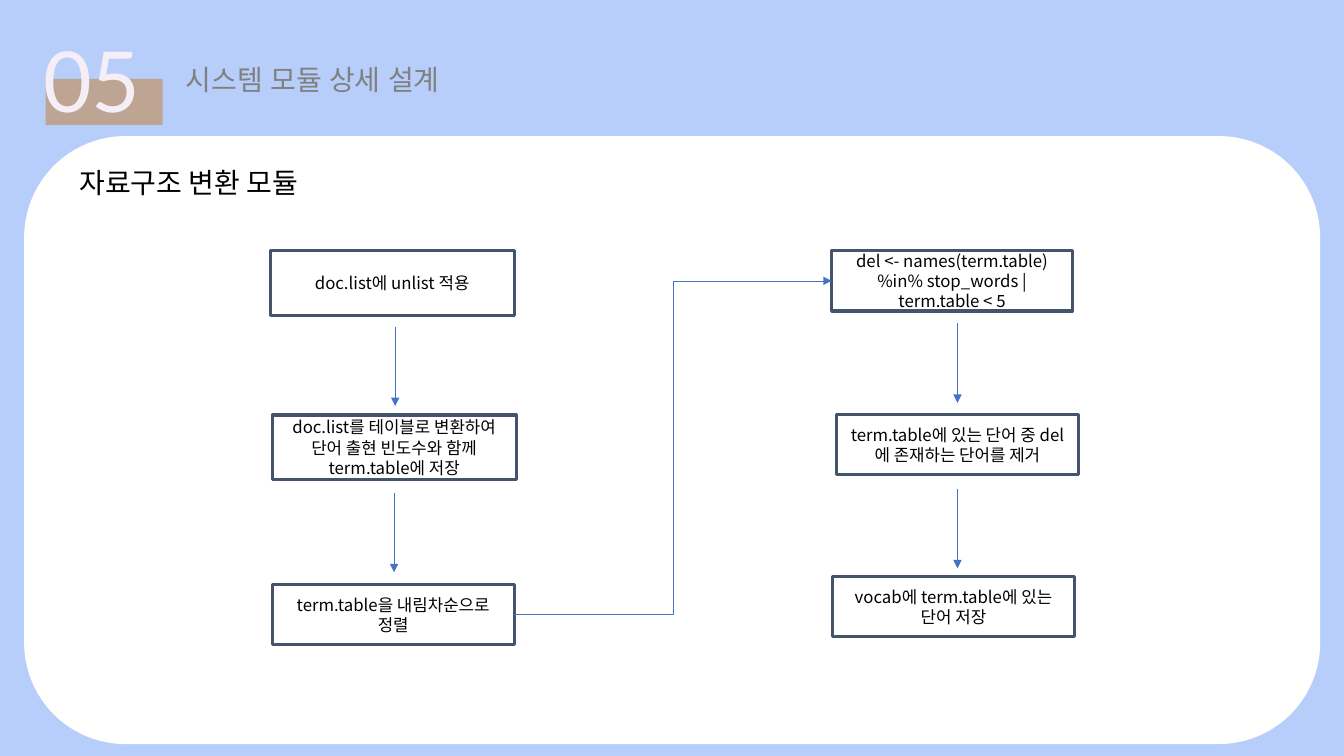
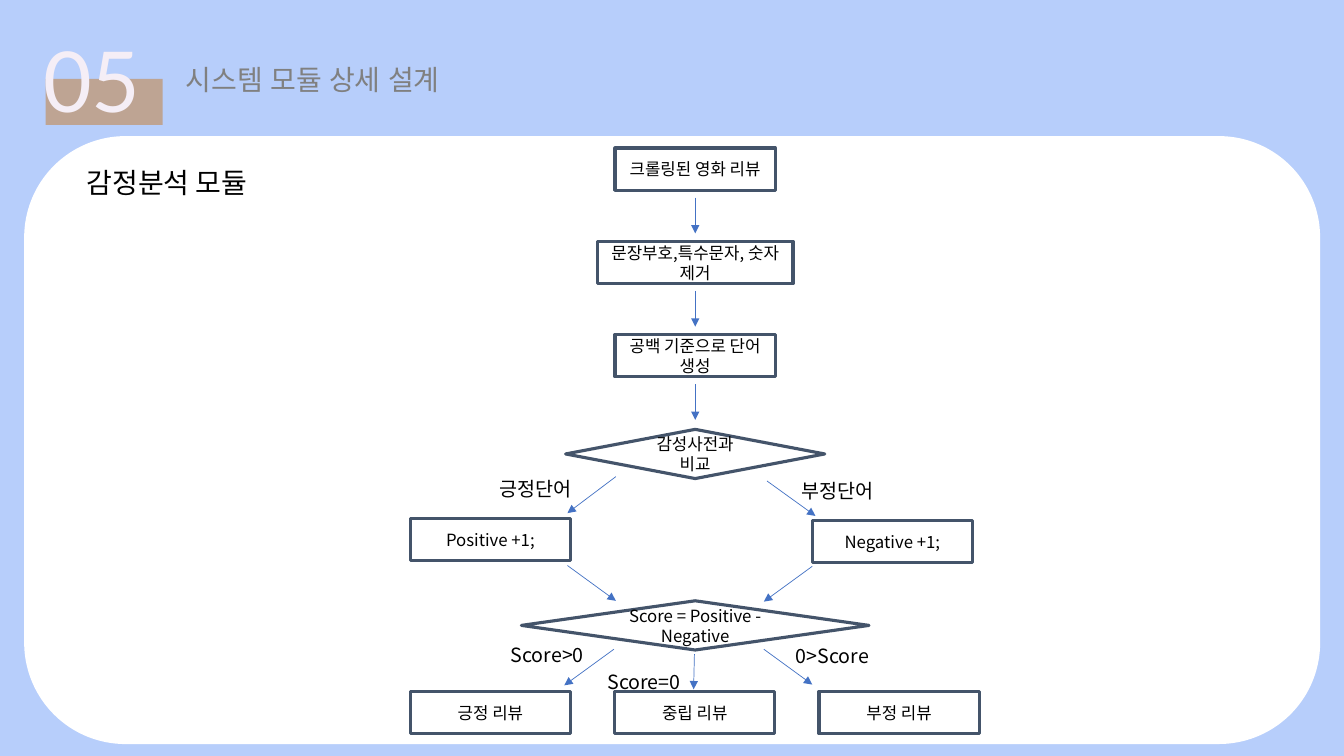
import pptx
import pptx.dml.color
import pptx.enum.shapes
import pptx.enum.text
import pptx.oxml.ns
import pptx.util
from lxml import etree

Cm = pptx.util.Cm
Pt = pptx.util.Pt
RGBColor = pptx.dml.color.RGBColor
MSO_SHAPE = pptx.enum.shapes.MSO_SHAPE
MSO_CONNECTOR = pptx.enum.shapes.MSO_CONNECTOR
MSO_ANCHOR = pptx.enum.text.MSO_ANCHOR
MSO_AUTO_SIZE = pptx.enum.text.MSO_AUTO_SIZE
PP_ALIGN = pptx.enum.text.PP_ALIGN
qn = pptx.oxml.ns.qn

SKY = RGBColor(0xB7, 0xCE, 0xFB)
TAN = RGBColor(0xBE, 0xA4, 0x93)
BLUSH = RGBColor(0xF5, 0xEE, 0xF6)
GREY = RGBColor(0x80, 0x80, 0x80)
WHITE = RGBColor(0xFF, 0xFF, 0xFF)
BLACK = RGBColor(0x00, 0x00, 0x00)
SLATE = RGBColor(0x44, 0x54, 0x6A)
BLUE = RGBColor(0x44, 0x72, 0xC4)

HEAD_FONT = "Lato"
BODY_FONT = "Noto Sans CJK KR"

CENTER_X = 17.52
BOX_W, BOX_H = 4.04, 1.07
DIAMOND_H = 1.24
STEP_Y = 2.35
REVIEW_STEP_X = 5.15


def set_text(tf, lines, size, color=BLACK, font=BODY_FONT, align=PP_ALIGN.LEFT):
    for i, line in enumerate(lines):
        p = tf.add_paragraph() if i else tf.paragraphs[0]
        p.text = line
        p.alignment = align
        p.font.size = Pt(size)
        p.font.name = font
        p.font.color.rgb = color
        ea = etree.SubElement(p._p.pPr.find(qn("a:defRPr")), qn("a:ea"))
        ea.set("typeface", font)


def add_block(slide, kind, left, top, width, height, fill):
    sp = slide.shapes.add_shape(kind, Cm(left), Cm(top), Cm(width), Cm(height))
    sp.shadow.inherit = False
    sp.fill.solid()
    sp.fill.fore_color.rgb = fill
    sp.line.fill.background()


def add_label(slide, text, left, top, width, height, size,
              color=BLACK, font=BODY_FONT, wrap=True):
    sp = slide.shapes.add_textbox(Cm(left), Cm(top), Cm(width), Cm(height))
    tf = sp.text_frame
    tf.word_wrap = wrap
    tf.auto_size = MSO_AUTO_SIZE.SHAPE_TO_FIT_TEXT
    set_text(tf, [text], size, color, font)


def add_node(slide, lines, left, top, width, height, kind=MSO_SHAPE.RECTANGLE):
    sp = slide.shapes.add_shape(kind, Cm(left), Cm(top), Cm(width), Cm(height))
    sp.shadow.inherit = False
    sp.fill.background()
    sp.line.color.rgb = SLATE
    sp.line.width = Pt(2.25)
    tf = sp.text_frame
    tf.word_wrap = True
    tf.vertical_anchor = MSO_ANCHOR.MIDDLE
    set_text(tf, lines, 12, align=PP_ALIGN.CENTER)
    return sp


def add_centered_node(slide, lines, center, top, width=BOX_W, height=BOX_H,
                      kind=MSO_SHAPE.RECTANGLE):
    return add_node(slide, lines, center - width / 2, top, width, height, kind)


def add_arrow(slide, x1, y1, x2, y2, kind=MSO_CONNECTOR.STRAIGHT):
    cxn = slide.shapes.add_connector(kind, Cm(x1), Cm(y1), Cm(x2), Cm(y2))
    cxn.line.color.rgb = BLUE
    cxn.line.width = Pt(0.5)
    tail = etree.SubElement(cxn.line._get_or_add_ln(), qn("a:tailEnd"))
    tail.set("type", "triangle")
    etree.SubElement(cxn._element.spPr, qn("a:effectLst"))
    return cxn


def add_module_slide(prs, heading, heading_left):
    slide = prs.slides.add_slide(prs.slide_layouts[5])
    add_block(slide, MSO_SHAPE.RECTANGLE, 1.15, 1.99, 2.95, 1.16, TAN)
    add_label(slide, "05", 0.84, 0.59, 3.25, 2.82, 60, BLUSH, HEAD_FONT)
    title = slide.shapes.title
    title.left, title.top = Cm(4.42), Cm(1.45)
    title.width, title.height = Cm(7.9), Cm(1.11)
    tf = title.text_frame
    tf.word_wrap = True
    tf.auto_size = MSO_AUTO_SIZE.NONE
    tf.vertical_anchor = MSO_ANCHOR.TOP
    set_text(tf, ["시스템 모듈 상세 설계"], 20, GREY, HEAD_FONT)
    add_block(slide, MSO_SHAPE.ROUNDED_RECTANGLE, 0.61, 3.43, 32.66, 15.32, WHITE)
    add_label(slide, heading, heading_left, 4.04, 7.62, 1.11, 20)
    return slide


def build_conversion_slide(prs):
    slide = add_module_slide(prs, "자료구조 변환 모듈", 1.75)
    steps = [
        ("doc.list에 unlist 적용", 6.81, 6.32, 6.15, 1.63),
        ("doc.list를 테이블로 변환하여 단어 출현 빈도수와 함께term.table에 저장",
         6.86, 10.46, 6.15, 1.63),
        ("term.table을 내림차순으로 정렬", 6.86, 14.73, 6.1, 1.52),
        ("del <- names(term.table) %in% stop_words | term.table < 5",
         20.96, 6.32, 6.07, 1.52),
        ("term.table에 있는 단어 중 del에 존재하는 단어를 제거",
         21.08, 10.44, 6.1, 1.52),
        ("vocab에 term.table에 있는 단어 저장", 20.98, 14.53, 6.1, 1.52),
    ]
    nodes = [add_node(slide, [text], *box) for text, *box in steps]
    for x, y in [(9.96, 8.23), (9.93, 12.42), (24.13, 8.15), (24.13, 12.32)]:
        add_arrow(slide, x, y, x, y + 2)
    bend = add_arrow(slide, 12.96, 15.49, 20.96, 7.08, MSO_CONNECTOR.ELBOW)
    bend.begin_connect(nodes[2], 3)
    bend.end_connect(nodes[3], 1)


def build_sentiment_slide(prs):
    slide = add_module_slide(prs, "감정분석 모듈", 1.93)
    steps = [("크롤링된 영화 리뷰", BOX_W), ("문장부호,특수문자, 숫자 제거", 4.93),
             ("공백 기준으로 단어 생성", BOX_W)]
    for i, (text, width) in enumerate(steps):
        top = 3.73 + i * STEP_Y
        add_centered_node(slide, [text], CENTER_X, top, width)
        add_arrow(slide, CENTER_X, top + 1.25, CENTER_X, top + 2.15)

    for lines, top, width in [(["감성사전과", "비교"], 10.82, 6.53),
                              (["Score = Positive - Negative"], 15.14, 8.76)]:
        add_centered_node(slide, lines, CENTER_X, top, width, DIAMOND_H,
                          MSO_SHAPE.DIAMOND)

    add_centered_node(slide, ["Positive +1;"], 12.36, 13.06)
    add_centered_node(slide, ["Negative +1;"], 22.49, 13.11)
    for i, text in enumerate(["긍정 리뷰", "중립 리뷰", "부정 리뷰"]):
        add_centered_node(slide, [text], 12.36 + i * REVIEW_STEP_X, 17.42)

    for ends in [(15.52, 12.01, 14.3, 12.93), (19.33, 12.12, 20.55, 13),
                 (14.3, 14.25, 15.52, 15.14), (20.47, 14.27, 19.25, 15.16),
                 (15.47, 16.36, 14.22, 17.27), (19.25, 16.36, 20.47, 17.25),
                 (17.5, 16.48, 17.48, 17.37)]:
        add_arrow(slide, *ends)

    for text, left, top, width in [("긍정단어", 12.34, 11.89, 2.72),
                                   ("부정단어", 19.94, 11.94, 2.72),
                                   ("Score>0", 12.62, 16.08, 2.59),
                                   ("Score=0", 15.06, 16.76, 2.59),
                                   ("0>Score", 19.81, 16.1, 2.59)]:
        add_label(slide, text, left, top, width, 0.69, 14, wrap=False)


def main():
    prs = pptx.Presentation()
    prs.slide_width, prs.slide_height = Cm(33.87), Cm(19.05)
    fill = prs.slide_master.background.fill
    fill.solid()
    fill.fore_color.rgb = SKY
    build_conversion_slide(prs)
    build_sentiment_slide(prs)
    prs.save("out.pptx")


if __name__ == "__main__":
    main()
